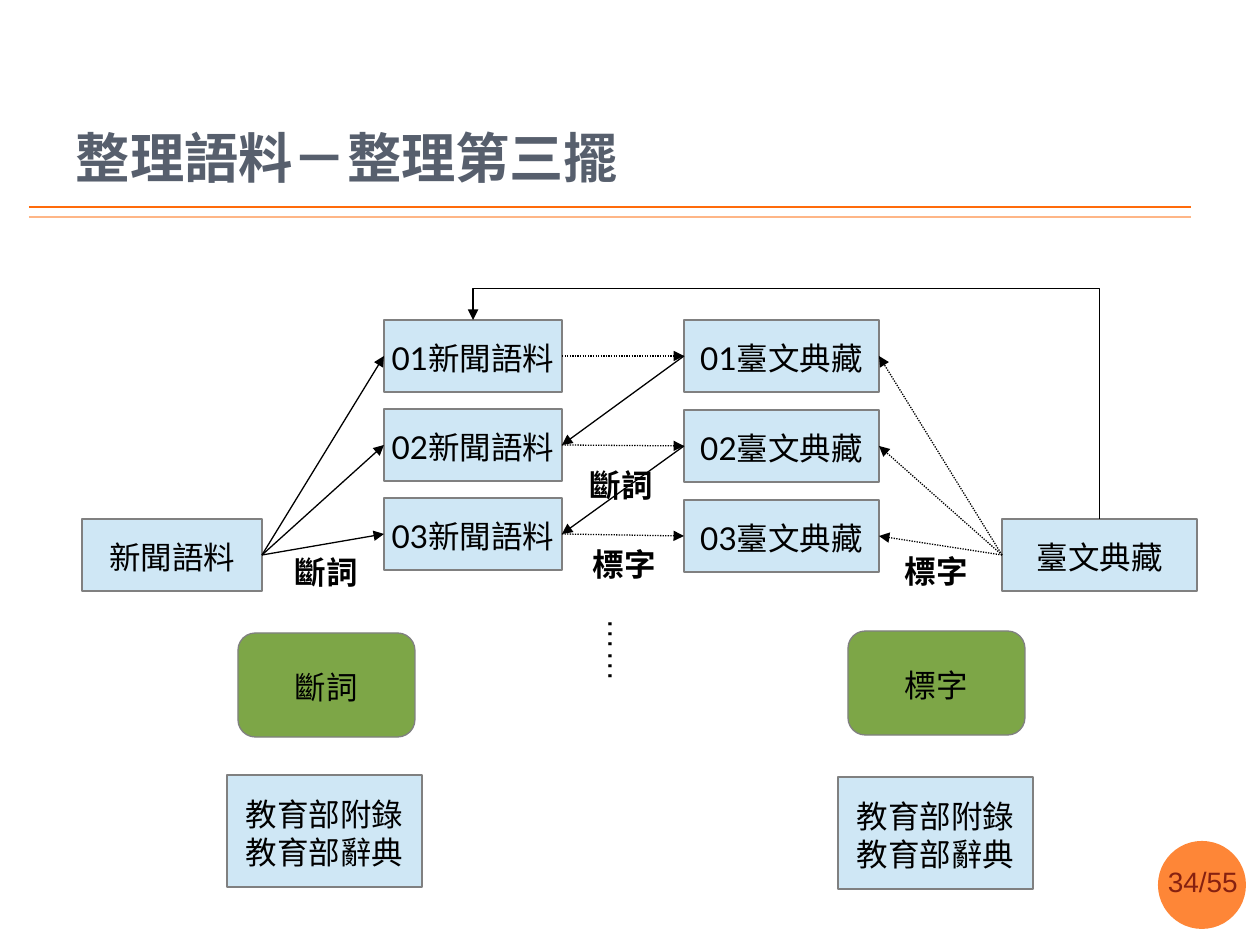
from lxml import etree
from pptx import Presentation
from pptx import util as u
from pptx.dml.color import RGBColor
from pptx.enum import dml, shapes, text
from pptx.oxml.ns import qn
from dataclasses import dataclass

PX = u.Inches(1) / 126


@dataclass(frozen=True)
class Theme:
    ink: str = "000000"
    title: str = "575F6D"
    rule: str = "FF6B0A"
    rule_light: str = "FEB687"
    badge: str = "FE8637"
    badge_ink: str = "862110"
    data: str = "CFE7F5"
    step: str = "7DA647"
    border: str = "808080"
    title_size: int = 31
    body_size: int = 18
    number_size: int = 16


theme = Theme()
prs = Presentation()
prs.slide_width, prs.slide_height = u.Inches(10), u.Inches(7.5)
slide = prs.slides.add_slide(prs.slide_layouts[6])


def write(item, lines, size=theme.body_size, color=theme.ink, bold=False,
          align=None, anchor=text.MSO_ANCHOR.TOP, wrap=False, insets=(13, 6, 13, 6)):
    """Each line is a list of (words, font) runs."""
    frame = item.text_frame
    frame.word_wrap = wrap
    frame.vertical_anchor = anchor
    (frame.margin_left, frame.margin_top,
     frame.margin_right, frame.margin_bottom) = [round(n * PX) for n in insets]
    for i, line in enumerate(lines):
        para = frame.paragraphs[0] if i == 0 else frame.add_paragraph()
        para.alignment = align
        for words, font in line:
            run = para.add_run()
            run.text = words
            run.font.name, run.font.size, run.font.bold = font, u.Pt(size), bold
            run.font.color.rgb = RGBColor.from_string(color)
    return frame


def connect(kind, ends, color=theme.ink, width=0.75, dotted=False, arrow=True):
    """Ends are two (x, y) points in px, or two (box, side) pairs."""
    joined = not isinstance(ends[0][0], int)
    points = [0] * 4 if joined else [round(n * PX) for end in ends for n in end]
    link = slide.shapes.add_connector(kind, *points)
    if joined:
        link.begin_connect(*ends[0])
        link.end_connect(*ends[1])
    link.line.color.rgb = RGBColor.from_string(color)
    link.line.width = u.Pt(width)
    if dotted:
        link.line.dash_style = dml.MSO_LINE.ROUND_DOT
    props = link._element.spPr
    if arrow:
        etree.SubElement(props.find(qn("a:ln")), qn("a:tailEnd"), type="triangle")
    etree.SubElement(props, qn("a:effectLst"))
    return link


STRAIGHT = shapes.MSO_CONNECTOR.STRAIGHT
TOP, LEFT, RIGHT = 0, 1, 3

# Double rule under the title
for y, color in ((207, theme.rule), (217, theme.rule_light)):
    connect(STRAIGHT, ((29, y), (1191, y)), color, 1, arrow=False)

# Page number badge
badge = slide.shapes.add_shape(shapes.MSO_SHAPE.OVAL, *[round(n * PX) for n in (1158, 841, 88, 88)])
badge.shadow.inherit = False
badge.fill.solid()
badge.fill.fore_color.rgb = RGBColor.from_string(theme.badge)
badge.line.fill.background()
page = slide.shapes.add_textbox(*[round(n * PX) for n in (1155, 859, 100, 47)])
write(page, [[("34/55", "Arial")]], theme.number_size, theme.badge_ink)

# Title
title = slide.shapes.add_textbox(*[round(n * PX) for n in (63, 38, 1089, 157)])
write(title, [[("整理語料－整理第三擺", "Montserrat")]], theme.title_size, theme.title,
      bold=True, anchor=text.MSO_ANCHOR.BOTTOM, wrap=True)

# Boxes: corpora, processing steps, dictionaries and the numbered rounds
DATA = (shapes.MSO_SHAPE.FLOWCHART_PROCESS, theme.data)
STEP = (shapes.MSO_SHAPE.FLOWCHART_ALTERNATE_PROCESS, theme.step)
news_name = [("新聞", "Arial"), ("語料", "Lato")]
dictionaries = [[("教育部附錄", "Lato")], [("教育部辭典", "Lato")]]
plan = {
    "news": (DATA, (82, 519, 180, 72), [news_name]),
    "archive": (DATA, (1002, 519, 195, 72), [[("臺文典藏", "Lato")]]),
    "segment": (STEP, (238, 633, 177, 104), [[("斷詞", "Lato")]]),
    "annotate": (STEP, (848, 631, 177, 104), [[("標字", "Lato")]]),
    "segment source": (DATA, (227, 775, 195, 112), dictionaries),
    "annotate source": (DATA, (838, 777, 195, 112), dictionaries),
}
rounds = ("01", "02", "03")
for i, number in enumerate(rounds):
    plan["news " + number] = (DATA, (384, 320 + 89 * i, 178, 72), [[(number, "Lato")] + news_name])
    plan["archive " + number] = (DATA, (684, 320 + 90 * i, 195, 72), [[(number + "臺文典藏", "Lato")]])

boxes = {}
for key, ((preset, fill), place, lines) in plan.items():
    box = boxes[key] = slide.shapes.add_shape(preset, *[round(n * PX) for n in place])
    box.shadow.inherit = False
    box.fill.solid()
    box.fill.fore_color.rgb = RGBColor.from_string(fill)
    box.line.color.rgb = RGBColor.from_string(theme.border)
    box.line.width = u.Pt(0.75)
    write(box, lines, align=text.PP_ALIGN.CENTER, anchor=text.MSO_ANCHOR.MIDDLE,
          insets=(11, 9, 11, 5))

# Arrows of each round: solid for segmenting, dotted for annotating
for i, number in enumerate(rounds):
    news, archive = boxes["news " + number], boxes["archive " + number]
    connect(STRAIGHT, ((boxes["news"], RIGHT), (news, LEFT)))
    connect(STRAIGHT, ((boxes["archive"], LEFT), (archive, RIGHT)), dotted=True)
    connect(STRAIGHT, ((news, RIGHT), (archive, LEFT)), dotted=True)
    if i:
        previous = boxes["archive " + rounds[i - 1]]
        connect(STRAIGHT, ((previous, LEFT), (news, RIGHT)))

# Bent arrow from the archive over the top to the first round
start, goal = boxes["archive"], boxes["news 01"]
bend = connect(shapes.MSO_CONNECTOR.ELBOW, ((start, TOP), (goal, TOP)))
across, rise = bend.width, bend.height
center_x, center_y = bend.left + across // 2, bend.top + rise // 2
bend.left, bend.top = center_x - rise // 2, center_y - across // 2
bend.width, bend.height = rise, across
xfrm = bend._element.spPr.find(qn("a:xfrm"))
for name, value in (("rot", "16200000"), ("flipH", "0"), ("flipV", "1")):
    xfrm.set(name, value)
guides = bend._element.spPr.find(qn("a:prstGeom")).get_or_add_avLst()
etree.SubElement(guides, qn("a:gd"), name="adj1", fmla="val 115800")

# Arrow labels
for words, x, y in (("標字", 580, 539), ("標字", 892, 546), ("斷詞", 282, 547), ("斷詞", 577, 460)):
    label = slide.shapes.add_textbox(*[round(n * PX) for n in (x, y, 89, 50)])
    write(label, [[(words, "Arial")]], bold=True)

# Vertical ellipsis for further rounds
more = slide.shapes.add_textbox(*[round(n * PX) for n in (591, 610, 60, 89)])
frame = write(more, [[("……", "Arial")]], wrap=True, insets=(11, 9, 11, 5))
frame._txBody.bodyPr.set("vert", "eaVert")
frame.paragraphs[0]._p.get_or_add_pPr().set("rtl", "1")

prs.save("out.pptx")
